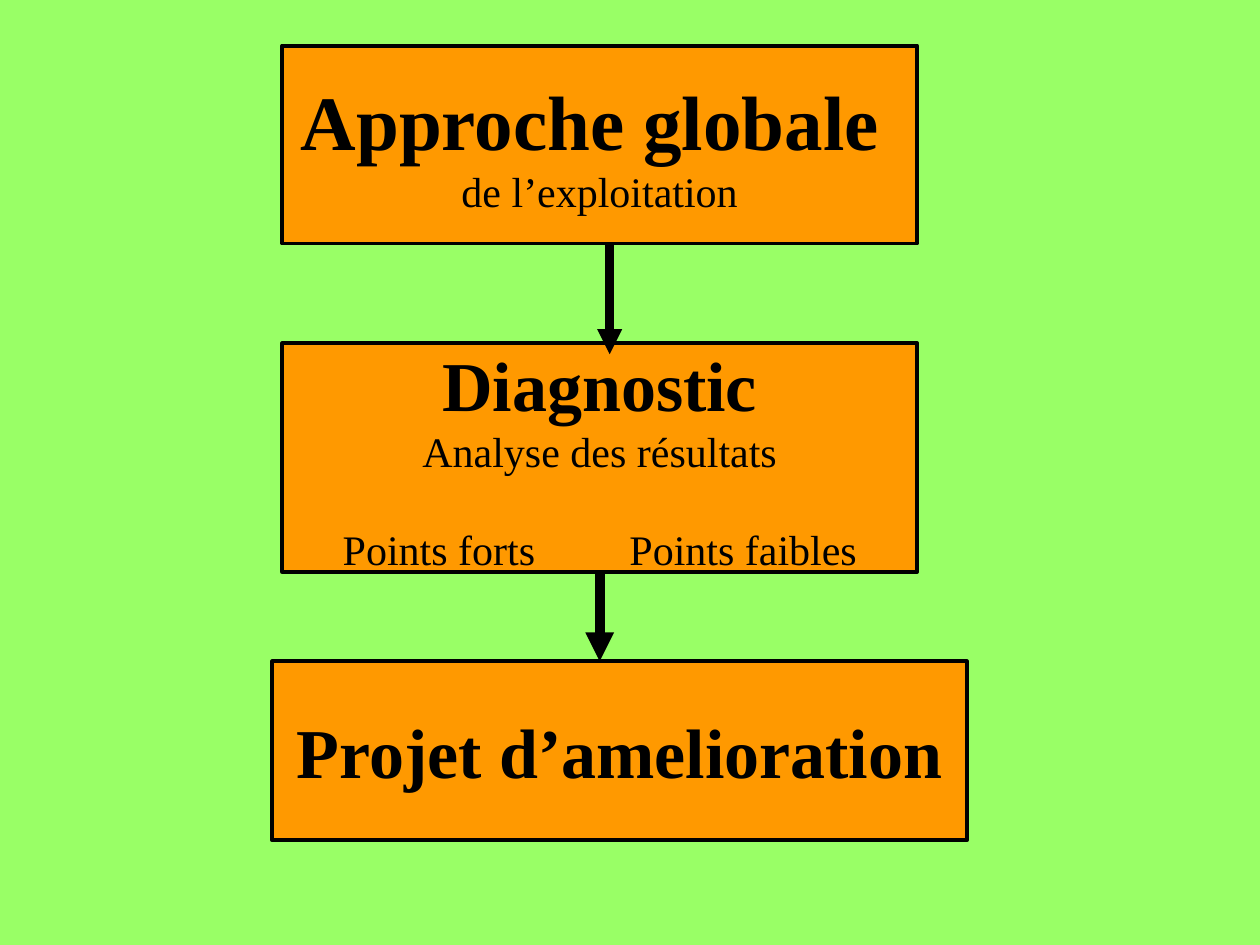
from dataclasses import dataclass

from lxml import etree
from pptx import Presentation
from pptx import util as u
from pptx.dml.color import RGBColor
from pptx.enum import shapes, text
from pptx.oxml import ns


@dataclass(frozen=True)
class Theme:
    background: RGBColor = RGBColor(0x99, 0xFF, 0x66)
    fill: RGBColor = RGBColor(0xFF, 0x99, 0x00)
    ink: RGBColor = RGBColor(0, 0, 0)
    font: str = "Times New Roman"
    large: float = 44
    heading: float = 40
    body: float = 24
    outline: float = 2.25


@dataclass(frozen=True)
class Line:
    content: str
    size: float
    bold: bool = False
    space_before: float = 0
    tabs: tuple[float, ...] = ()  # centimetres from the text edge


@dataclass(frozen=True)
class Step:
    left: float
    top: float
    width: float
    height: float
    lines: tuple[Line, ...]
    wrap: bool = False


THEME = Theme()
STEPS = (
    Step(5.69, 0.92, 12.8, 3.99, (
        Line("Approche globale ", THEME.large, bold=True),
        Line("de l’exploitation", THEME.body),
    )),
    Step(5.69, 6.92, 12.8, 4.61, (
        Line("Diagnostic", THEME.heading, bold=True),
        Line("Analyse des résultats", THEME.body),
        Line("\tPoints forts\tPoints faibles", THEME.body,
             space_before=27.6, tabs=(0.97, 6.75)),
    ), wrap=True),
    Step(5.49, 13.33, 14, 3.61, (
        Line("Projet d’amelioration", THEME.heading, bold=True),
    )),
)


def add_tab_stops(para, stops: tuple[float, ...]) -> None:
    tab_list = etree.SubElement(para._p.get_or_add_pPr(), ns.qn("a:tabLst"))
    for stop in stops:
        etree.SubElement(tab_list, ns.qn("a:tab"), pos=str(int(u.Cm(stop))), algn="l")


def write_line(para, content: str, *, size: float, bold: bool = False,
               space_before: float = 0, tabs: tuple[float, ...] = ()) -> None:
    """Write one paragraph: centred, or left-aligned on its tab stops."""
    para.alignment = text.PP_ALIGN.LEFT if tabs else text.PP_ALIGN.CENTER
    if space_before:
        para.space_before = u.Pt(space_before)
    if tabs:
        add_tab_stops(para, tabs)
    span = para.add_run()
    span.text = content
    span.font.name = THEME.font
    span.font.size = u.Pt(size)
    span.font.bold = bold
    span.font.color.rgb = THEME.ink


def add_step(page, step: Step):
    box = page.shapes.add_shape(
        shapes.MSO_SHAPE.RECTANGLE,
        *(u.Cm(side) for side in (step.left, step.top, step.width, step.height)))
    box.shadow.inherit = False
    box.fill.solid()
    box.fill.fore_color.rgb = THEME.fill
    box.line.color.rgb = THEME.ink
    box.line.width = u.Pt(THEME.outline)
    frame = box.text_frame
    frame.word_wrap = step.wrap
    frame.vertical_anchor = text.MSO_ANCHOR.MIDDLE
    for index, line in enumerate(step.lines):
        para = frame.add_paragraph() if index else frame.paragraphs[0]
        write_line(para, line.content, size=line.size, bold=line.bold,
                   space_before=line.space_before, tabs=line.tabs)
    return box


def add_down_arrow(page, x: float, top: float, bottom: float, weight: float):
    arrow = page.shapes.add_connector(
        shapes.MSO_CONNECTOR.STRAIGHT, u.Cm(x), u.Cm(top), u.Cm(x), u.Cm(bottom))
    arrow.line.color.rgb = THEME.ink
    arrow.line.width = u.Pt(weight)
    etree.SubElement(arrow.line._get_or_add_ln(), ns.qn("a:tailEnd"), type="triangle")
    etree.SubElement(arrow._element.spPr, ns.qn("a:effectLst"))
    return arrow


def main() -> None:
    deck = Presentation()
    deck.slide_width, deck.slide_height = u.Cm(25.4), u.Cm(19.05)
    page = deck.slides.add_slide(deck.slide_layouts[6])
    page.background.fill.solid()
    page.background.fill.fore_color.rgb = THEME.background

    approach, diagnosis, project = (add_step(page, step) for step in STEPS)
    add_down_arrow(page, 12.29, 4.92, 7.14, weight=4.75)
    to_project = add_down_arrow(page, 12.09, 11.53, 13.33, weight=5.5)
    to_project.begin_connect(diagnosis, 2)
    deck.save("out.pptx")


if __name__ == "__main__":
    main()
